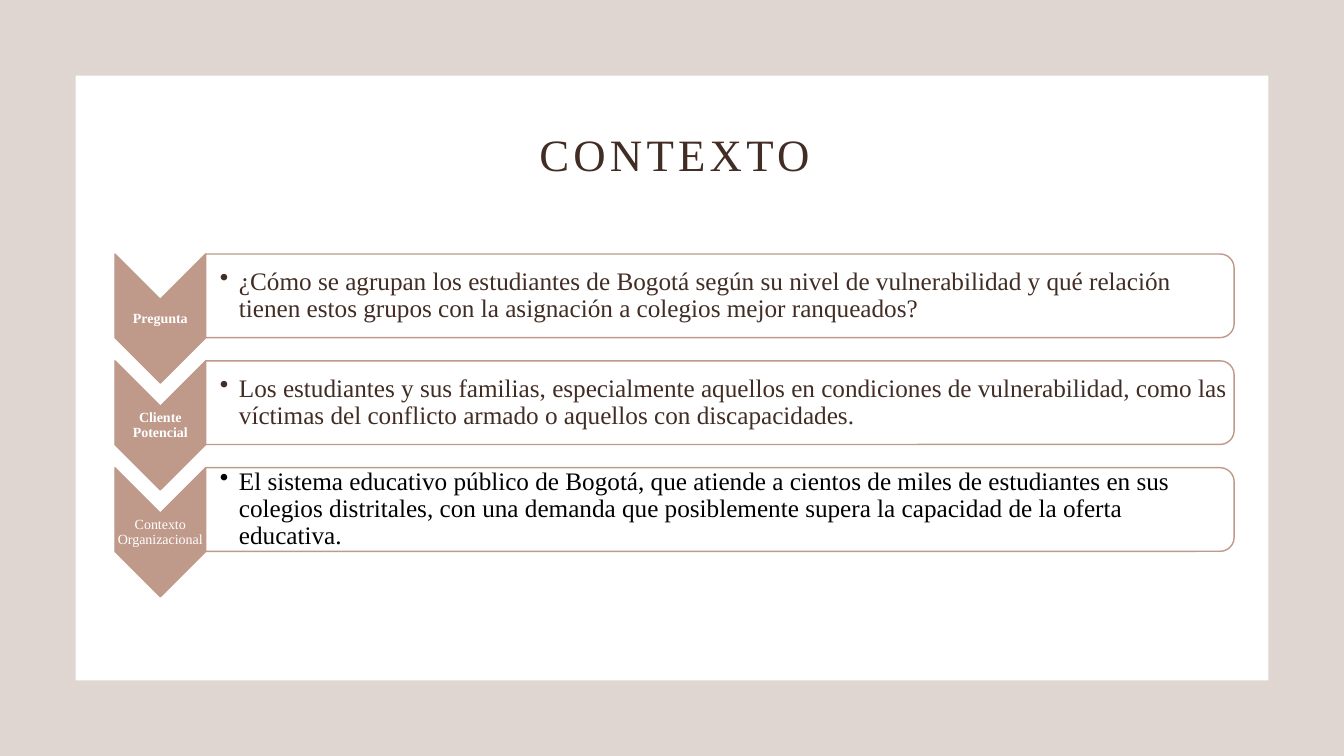
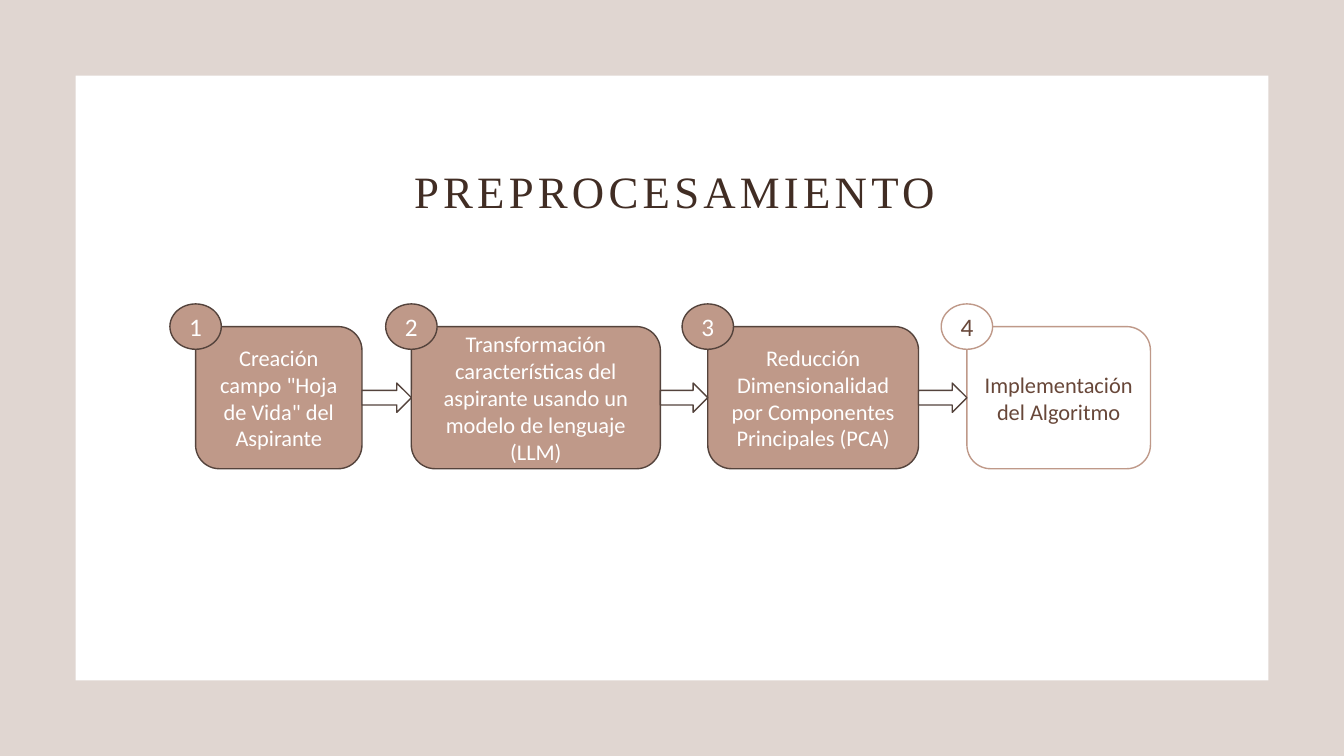
from pptx import Presentation
from pptx.dml.color import RGBColor
from pptx.enum import shapes, text
from pptx.oxml import parse_xml
from pptx.oxml.ns import nsdecls
from pptx.util import Inches, Pt

# Shared look
COLORS = {"frame": "E0D6D1", "panel": "FFFFFF", "title": "412D24", "rose": "BF9989",
          "outline": "54433C", "brown": "684739", "white": "FFFFFF", "black": "000000"}
SERIF, SANS = "Times New Roman", "Calibri"
SHAPE = shapes.MSO_SHAPE
CENTER, LEFT = text.PP_ALIGN.CENTER, text.PP_ALIGN.LEFT
MARGIN = 0.75

# Content: label, label is bold, description, description colour
CONTEXT = [
    ("Pregunta", True,
     "¿Cómo se agrupan los estudiantes de Bogotá según su nivel de vulnerabilidad y qué "
     "relación tienen estos grupos con la asignación a colegios mejor ranqueados?", "title"),
    ("Cliente Potencial", True,
     "Los estudiantes y sus familias, especialmente aquellos en condiciones de vulnerabilidad, "
     "como las víctimas del conflicto armado o aquellos con discapacidades.", "title"),
    ("Contexto Organizacional", False,
     "El sistema educativo público de Bogotá, que atiende a cientos de miles de estudiantes en "
     "sus colegios distritales, con una demanda que posiblemente supera la capacidad de la "
     "oferta educativa.", "black"),
]

# Content: step, left edge, width, (fill, line, text) colours
DONE, NEXT = ("rose", "outline", "white"), ("white", "rose", "brown")
STEPS = [
    ('Creación campo "Hoja de Vida" del Aspirante', 1.94, 1.65, DONE),
    ("Transformación características del aspirante usando un modelo de lenguaje (LLM)",
     4.08, 2.47, DONE),
    ("Reducción Dimensionalidad por Componentes Principales (PCA)", 7.02, 2.09, DONE),
    ("Implementación del Algoritmo", 9.59, 1.82, NEXT),
]


def rgb(name):
    return RGBColor.from_string(COLORS[name])


def add_shape(slide, kind, left, top, width, height, fill, line=None):
    shape = slide.shapes.add_shape(kind, *map(Inches, (left, top, width, height)))
    shape.shadow.inherit = False
    shape.fill.solid()
    shape.fill.fore_color.rgb = rgb(fill)
    if line:
        shape.line.color.rgb = rgb(line)
        shape.line.width = Pt(1)
    else:
        shape.line.fill.background()
    return shape


def add_upright(slide, kind, left, top, width, height, fill, line):
    """Draw a sideways preset turned 90 degrees so that it covers the given box."""
    shift = (width - height) / 2
    shape = add_shape(slide, kind, left + shift, top - shift, height, width, fill, line)
    shape.rotation = 90


def write(shape, words, size, color, font, align=CENTER, bold=False, spacing=None):
    frame = shape.text_frame
    frame.word_wrap = True
    frame.vertical_anchor = text.MSO_ANCHOR.MIDDLE
    frame.text = words
    paragraph = frame.paragraphs[0]
    paragraph.alignment = align
    paragraph.line_spacing = spacing
    run = paragraph.runs[0].font
    run.size, run.name, run.bold = Pt(size), font, bold
    run.color.rgb = rgb(color)
    return paragraph


def add_text(slide, box, words, inset, **style):
    area = slide.shapes.add_textbox(*map(Inches, box))
    frame = area.text_frame
    frame.margin_left = Inches(inset)
    frame.margin_top = frame.margin_right = frame.margin_bottom = Inches(0.01)
    return write(area, words, font=SERIF, spacing=0.9, **style)


def add_bullet(paragraph, indent):
    properties = paragraph._p.get_or_add_pPr()
    properties.set("marL", str(Inches(indent)))
    properties.set("indent", str(-Inches(indent)))
    properties.append(parse_xml(f'<a:buChar {nsdecls("a")} char="•"/>'))


def add_slide(prs, heading, title_top):
    slide = prs.slides.add_slide(prs.slide_layouts[5])
    title = slide.shapes.title
    panel = add_shape(slide, SHAPE.RECTANGLE, MARGIN, MARGIN, 11.83, 6, "panel")
    title._element.addprevious(panel._element)
    title.left, title.top, title.width, title.height = map(Inches, (1.5, title_top, 10.38, 1.09))
    paragraph = write(title, heading, 32, "title", SERIF, spacing=0.9)
    title.text_frame.vertical_anchor = text.MSO_ANCHOR.BOTTOM
    title.text_frame.auto_size = text.MSO_AUTO_SIZE.NONE
    paragraph.runs[0]._r.get_or_add_rPr().set("spc", "300")
    return slide


def build_context(prs):
    slide = add_slide(prs, "CONTEXTO", 0.76)
    left, first_top, pitch = 1.14, 2.52, 1.06
    label_width, body_width = 0.9, 10.2
    body_left = left + label_width
    for row, (label, bold, description, color) in enumerate(CONTEXT):
        top = first_top + row * pitch
        add_upright(slide, SHAPE.CHEVRON, left, top, label_width, 1.28, "rose", "rose")
        add_text(slide, (left, top + 0.45, label_width, 0.38), label, 0.01,
                 size=10, color="white", bold=bold)
        add_upright(slide, SHAPE.ROUND_2_SAME_RECTANGLE, body_left, top, body_width, 0.83,
                    "white", "rose")
        body = add_text(slide, (body_left, top + 0.04, body_width - 0.04, 0.75), description,
                        0.14, size=18, color=color, align=LEFT)
        add_bullet(body, 0.19)


def build_steps(prs):
    slide = add_slide(prs, "PREPROCESAMIENTO", 1.12)
    top, height = 3.24, 1.41
    arrow_height, badge_width, badge_height = 0.29, 0.51, 0.45
    # Cards
    for words, left, width, (fill, line, ink) in STEPS:
        card = add_shape(slide, SHAPE.ROUNDED_RECTANGLE, left, top, width, height, fill, line)
        write(card, words, 16, ink, SANS)
    # Arrows fill the gaps between cards
    for (_, left, width, _), (_, next_left, _, _) in zip(STEPS, STEPS[1:]):
        right = left + width
        add_shape(slide, SHAPE.RIGHT_ARROW, right, top + (height - arrow_height) / 2,
                  next_left - right, arrow_height, "white", "outline")
    # Number badges sit on the top left corners
    for number, (_, left, _, (fill, line, ink)) in enumerate(STEPS, 1):
        badge = add_shape(slide, SHAPE.OVAL, left - badge_width / 2, top - badge_height / 2,
                          badge_width, badge_height, fill, line)
        write(badge, str(number), 18, ink, SANS)


def main():
    prs = Presentation()
    prs.slide_width, prs.slide_height = Inches(13.33), Inches(7.5)
    backdrop = prs.slide_master.background.fill
    backdrop.solid()
    backdrop.fore_color.rgb = rgb("frame")
    build_context(prs)
    build_steps(prs)
    prs.save("out.pptx")


if __name__ == "__main__":
    main()
